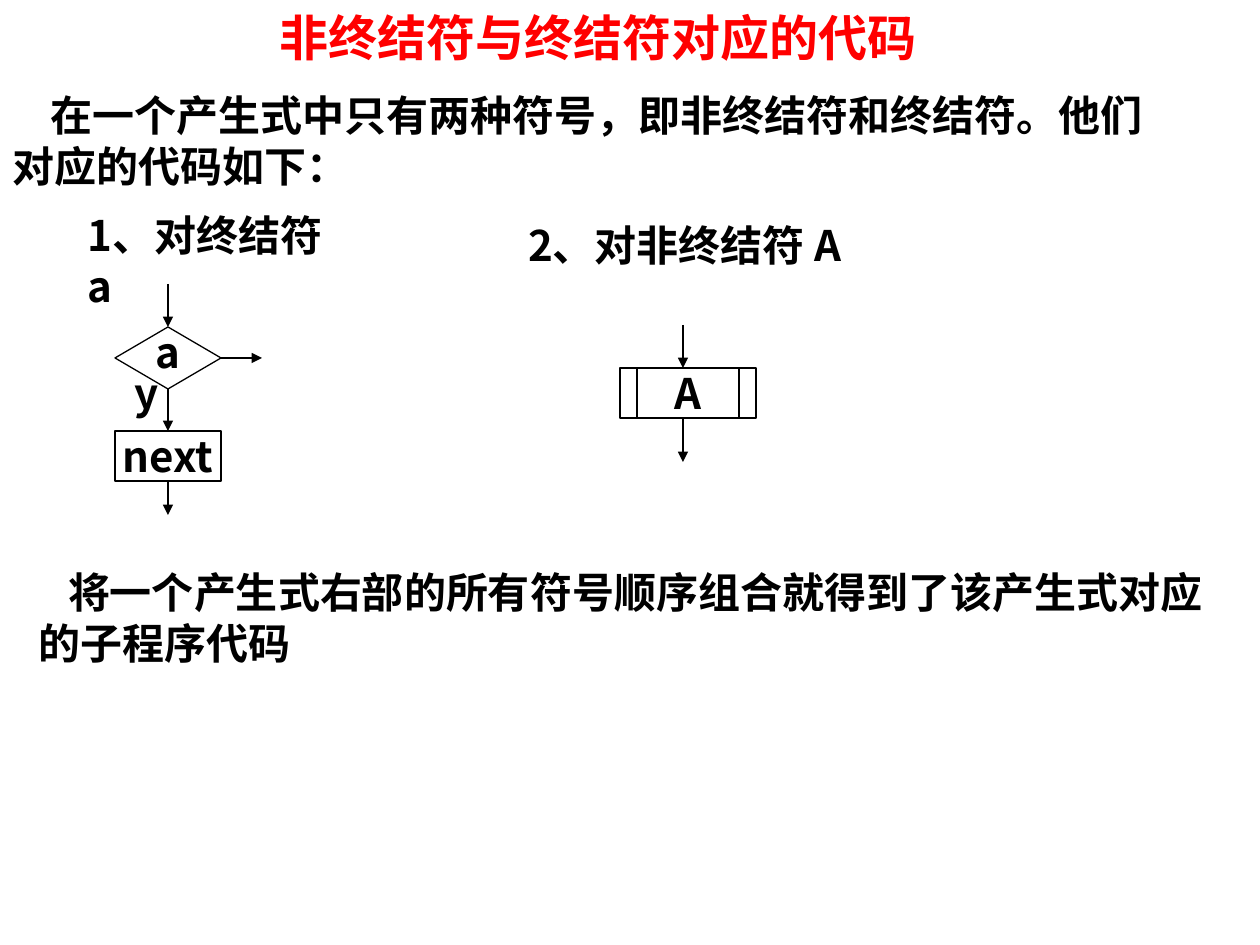
from lxml.etree import SubElement
from pptx import Presentation
from pptx.dml.color import RGBColor
from pptx.enum.shapes import MSO_CONNECTOR, MSO_SHAPE
from pptx.enum.text import MSO_ANCHOR, PP_ALIGN
from pptx.oxml.ns import qn
from pptx.util import Emu, Pt

COLORS = {"title": "FF0000", "ink": "000000"}
BODY_FONT = "Noto Sans CJK SC"


def px(length):
    return Emu(round(length * 914400 / 126))


def write(frame, words, size=24, font=BODY_FONT, color="ink", align=PP_ALIGN.LEFT):
    """Put one bold run into the frame's first paragraph and return the paragraph."""
    paragraph = frame.paragraphs[0]
    paragraph.alignment = align
    run = paragraph.add_run()
    run.text = words
    run.font.size = Pt(size)
    run.font.bold = True
    run.font.name = font
    run.font.color.rgb = RGBColor.from_string(COLORS[color])
    SubElement(run._r.get_or_add_rPr(), qn("a:ea"), typeface=BODY_FONT)
    return paragraph


prs = Presentation()
prs.slide_width, prs.slide_height = px(1260), px(945)
slide = prs.slides.add_slide(prs.slide_layouts[5])
shapes = slide.shapes

# Title
title = shapes.title
title.left, title.top, title.width, title.height = px(73), px(0), px(1050), px(73)
title.text_frame.vertical_anchor = MSO_ANCHOR.MIDDLE
write(title.text_frame, "非终结符与终结符对应的代码", 28, "Times New Roman", "title", PP_ALIGN.CENTER)

# Text: words, left, top, width, height, margin, first-line indent
passages = [
    ("在一个产生式中只有两种符号，即非终结符和终结符。他们对应的代码如下：", 0, 84, 1197, 116, 13, 38),
    ("1、对终结符 a", 88, 210, 262, 100, 0, 0),
    ("2、对非终结符 A", 528, 220, 360, 50, 0, 0),
    ("y", 135, 368, 28, 50, 0, 0),
    ("将一个产生式右部的所有符号顺序组合就得到了该产生式对应的子程序代码", 39, 567, 1167, 101, 0, 29),
]
for words, left, top, width, height, margin, indent in passages:
    frame = shapes.add_textbox(px(left), px(top), px(width), px(height)).text_frame
    frame.word_wrap = True
    frame.margin_left = frame.margin_right = px(margin)
    frame.margin_top = frame.margin_bottom = px(margin // 2)
    paragraph = write(frame, words)
    if indent:
        paragraph._p.get_or_add_pPr().set("indent", str(px(indent)))

# Flowchart nodes: preset, label, left, top, width, height, lift of the label
nodes = {}
for preset, label, left, top, width, height, lift in [
    (MSO_SHAPE.DIAMOND, "a", 115, 327, 106, 62, 12),
    (MSO_SHAPE.FLOWCHART_PROCESS, "next", 115, 431, 106, 50, 0),
    (MSO_SHAPE.FLOWCHART_PREDEFINED_PROCESS, "A", 620, 368, 136, 50, 0),
]:
    node = shapes.add_shape(preset, px(left), px(top), px(width), px(height))
    node.shadow.inherit = False
    node.fill.background()
    node.line.color.rgb = RGBColor.from_string(COLORS["ink"])
    node.line.width = Pt(0.75)
    frame = node.text_frame
    frame.word_wrap = False
    frame.vertical_anchor = MSO_ANCHOR.MIDDLE
    frame.margin_left = frame.margin_right = frame.margin_top = 0
    frame.margin_bottom = px(lift)
    write(frame, label, align=PP_ALIGN.CENTER)
    nodes[label] = node

# Arrows: start, end, joined start (node, side), joined end (node, side)
arrows = [
    ((168, 284), (168, 327), None, ("a", 0)),
    ((168, 389), (168, 431), ("a", 2), ("next", 0)),
    ((168, 481), (168, 515), ("next", 2), None),
    ((221, 358), (262, 358), ("a", 3), None),
    ((683, 325), (683, 368), None, None),
    ((683, 419), (683, 462), None, None),
]
for start, end, source, target in arrows:
    arrow = shapes.add_connector(MSO_CONNECTOR.STRAIGHT, *map(px, start + end))
    if source:
        arrow.begin_connect(nodes[source[0]], source[1])
    if target:
        arrow.end_connect(nodes[target[0]], target[1])
    arrow.line.color.rgb = RGBColor.from_string(COLORS["ink"])
    arrow.line.width = Pt(0.75)
    SubElement(arrow.line._get_or_add_ln(), qn("a:tailEnd"), type="triangle")
    SubElement(arrow._element.spPr, qn("a:effectLst"))

prs.save("out.pptx")
